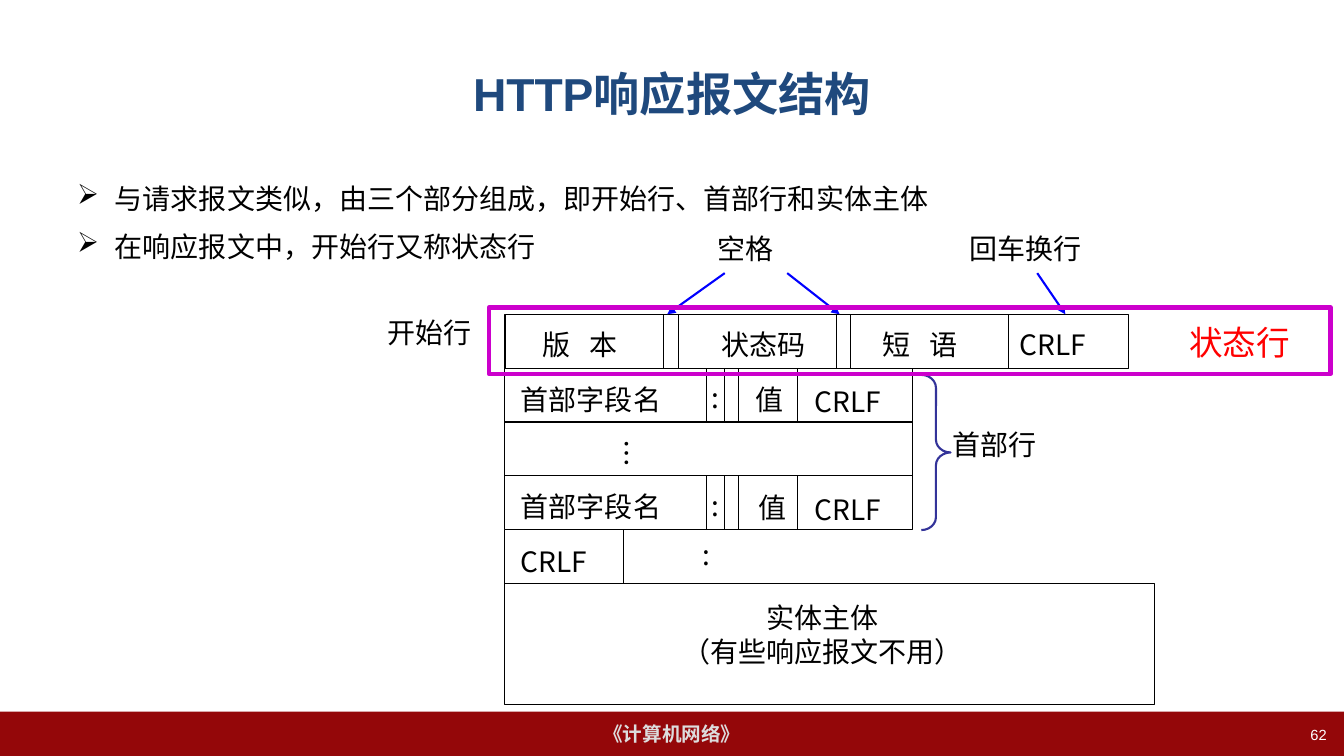
from dataclasses import dataclass
from typing import NamedTuple

from lxml import etree
from pptx import Presentation
from pptx.dml.color import RGBColor
from pptx.enum.shapes import MSO_CONNECTOR, MSO_SHAPE
from pptx.enum.text import MSO_ANCHOR, PP_ALIGN
from pptx.oxml.ns import qn
from pptx.util import Pt

RECT, BRACE = MSO_SHAPE.RECTANGLE, MSO_SHAPE.RIGHT_BRACE
LINE = MSO_CONNECTOR.STRAIGHT
TOP, MIDDLE = MSO_ANCHOR.TOP, MSO_ANCHOR.MIDDLE
LEFT, CENTER, RIGHT = PP_ALIGN.LEFT, PP_ALIGN.CENTER, PP_ALIGN.RIGHT


@dataclass(frozen=True)
class Theme:
    black: str = "000000"
    white: str = "FFFFFF"
    navy: str = "1F497D"
    maroon: str = "940709"
    silver: str = "DDDDDD"
    red: str = "FF0000"
    blue: str = "0000FF"
    brace: str = "333399"
    purple: str = "CC00CC"
    latin: str = "Arial"
    hanzi: str = "Noto Sans CJK SC"
    title: float = 33
    status: float = 24
    body: float = 20
    footer: float = 14
    number: float = 10.5


class Area(NamedTuple):
    x: float
    y: float
    w: float
    h: float


class Label(NamedTuple):
    text: str
    x: float
    y: float
    w: float


class Arrow(NamedTuple):
    x1: float
    x2: float


THEME = Theme()
START, EDGE, PITCH = 360.7, 224.5, 38.5
ROWS = [EDGE + PITCH * i for i in range(6)]
WIDE, HIGH = 290.9, 31.7
DEPTH = 86.4

LABELS = [
    Label("状态码", 508.3, 230.4, 77.8),
    Label("CRLF", 721.4, 230.4, 67.7),
    Label("首部行", 673.2, 301.7, 77.8),
    Label(":", 494.6, 380.2, 23.8),
    Label("CRLF", 365, 385.2, 67.7),
    Label("空格", 505.4, 162, 57.6),
    Label("回车换行", 685.4, 162, 97.9),
    Label("开始行", 270, 221.8, 77.8),
]
ARROWS = [Arrow(562.3, 599.8), Arrow(517.7, 476.6), Arrow(740.9, 761)]


def write(slide, text: str, area: Area, *, size: float = THEME.body,
          color: str = THEME.black, font: str = THEME.hanzi,
          bold: bool = False, align: PP_ALIGN = LEFT,
          anchor: MSO_ANCHOR = TOP, wrap: bool = True, turn: float = 0,
          track: float = 0, bullet: str = "", before: float = 0) -> None:
    """Write one paragraph per line of text into a new text box."""
    box = slide.shapes.add_textbox(*map(Pt, area))
    box.rotation = turn
    frame = box.text_frame
    frame.word_wrap = wrap
    frame.vertical_anchor = anchor
    for i, words in enumerate(text.split("\n")):
        para = frame.add_paragraph() if i else frame.paragraphs[0]
        para.alignment = align
        if i and before:
            para.space_before = Pt(before)
        if bullet:
            props = para._p.get_or_add_pPr()
            props.set("marL", str(Pt(27)))
            props.set("indent", str(-Pt(27)))
            etree.SubElement(props, qn("a:buChar")).set("char", bullet)
        run = para.add_run()
        run.text = words
        run.font.size = Pt(size)
        run.font.bold = bold
        run.font.name = font
        run.font.color.rgb = RGBColor.from_string(color)
        marks = run._r.get_or_add_rPr()
        etree.SubElement(marks, qn("a:ea")).set("typeface", THEME.hanzi)
        if track:
            marks.set("spc", str(int(track * 100)))


def block(slide, area: Area, kind: MSO_SHAPE = RECT, *, fill: str = "",
          line: str = THEME.black, width: float = 0.75):
    """Draw a preset shape and return it."""
    shape = slide.shapes.add_shape(kind, *map(Pt, area))
    shape.shadow.inherit = False
    if fill:
        shape.fill.solid()
        shape.fill.fore_color.rgb = RGBColor.from_string(fill)
    else:
        shape.fill.background()
    if line:
        shape.line.color.rgb = RGBColor.from_string(line)
        shape.line.width = Pt(width)
    else:
        shape.line.fill.background()
    return shape


def rule(slide, x1: float, y1: float, x2: float, y2: float, *,
         color: str = THEME.black, width: float = 0.75,
         head: bool = False) -> None:
    """Draw a straight line, with an arrowhead at its end if asked."""
    link = slide.shapes.add_connector(LINE, Pt(x1), Pt(y1), Pt(x2), Pt(y2))
    link.line.color.rgb = RGBColor.from_string(color)
    link.line.width = Pt(width)
    if head:
        stroke = link.line._get_or_add_ln()
        etree.SubElement(stroke, qn("a:tailEnd")).set("type", "triangle")
    etree.SubElement(link._element.spPr, qn("a:effectLst"))


def split(slide, top: float, marks: list[float]) -> None:
    """Draw the upright lines of one row."""
    for x in marks:
        rule(slide, x, top, x, top + PITCH)


def header(slide, top: float, value: float) -> None:
    """Draw one header field row."""
    block(slide, Area(START, top, WIDE, PITCH))
    split(slide, top, [504.7, 517.7, 527.8, 569.5])
    write(slide, "首部字段名", Area(365, top + 6.4, 118.1, HIGH))
    write(slide, ":", Area(501.1, top + 5.3, 23.8, HIGH))
    write(slide, "值", Area(value, top + 7, 38.2, HIGH))
    write(slide, "CRLF", Area(575, top + 8.2, 73, HIGH))


def message(slide) -> None:
    """Draw the parts of the response message."""
    block(slide, Area(START, EDGE, 445.7, PITCH))
    split(slide, EDGE, [473.8, 484.6, 597.6, 607.7, 720.7])
    for text, x in (("版 本", 380.2), ("短 语", 623.5)):
        write(slide, text, Area(x, 230.4, 80, HIGH), track=4.5)
    header(slide, ROWS[1], 532.8)
    split(slide, ROWS[2], [START, START + WIDE])
    write(slide, "…", Area(427, 304.6, 41, HIGH), turn=270)
    header(slide, ROWS[3], 535)
    split(slide, ROWS[4], [START, 445.7])
    block(slide, Area(START, ROWS[5], 463.7, DEPTH))
    write(slide, "实体主体\n（有些响应报文不用）",
          Area(478.8, 425.5, 217.4, 55.4), align=CENTER)
    for label in LABELS:
        write(slide, label.text, Area(label.x, label.y, label.w, HIGH))


def notes(slide) -> None:
    """Mark the status line, the header lines and the gaps."""
    for arrow in ARROWS:
        rule(slide, arrow.x1, 195.1, arrow.x2, EDGE,
             color=THEME.blue, width=1.5, head=True)
    brace = block(slide, Area(658.1, 267.8, 20.9, 110.9), BRACE,
                  line=THEME.brace, width=1.5)
    brace.adjustments[0] = 0.44
    block(slide, Area(349.2, 219.6, 601.2, 47.5),
          line=THEME.purple, width=3)
    write(slide, "状态行", Area(842.4, 226.1, 102.2, 36.7),
          size=THEME.status, color=THEME.red)


def main() -> None:
    """Build the slide and save it."""
    deck = Presentation()
    deck.slide_width, deck.slide_height = Pt(960), Pt(540)
    slide = deck.slides.add_slide(deck.slide_layouts[6])
    footer = Area(0, 508.3, 960, 31.7)
    block(slide, footer, fill=THEME.maroon, line="")
    write(slide, "《计算机网络》", footer, size=THEME.footer, font=THEME.latin,
          color=THEME.silver, bold=True, align=CENTER, anchor=MIDDLE,
          wrap=False)
    message(slide)
    notes(slide)
    write(slide, "HTTP响应报文结构", Area(48, 21.6, 864, 90),
          size=THEME.title, font=THEME.latin, color=THEME.navy, bold=True,
          align=CENTER, anchor=MIDDLE)
    write(slide, "62", Area(730.8, 514.8, 223.9, 25.2), size=THEME.number,
          font=THEME.latin, color=THEME.white, align=RIGHT)
    write(slide, "与请求报文类似，由三个部分组成，即开始行、首部行和实体主体\n"
          "在响应报文中，开始行又称状态行", Area(48, 126, 864, 356.4),
          font=THEME.latin, bullet="➢", before=10)
    deck.save("out.pptx")


if __name__ == "__main__":
    main()
